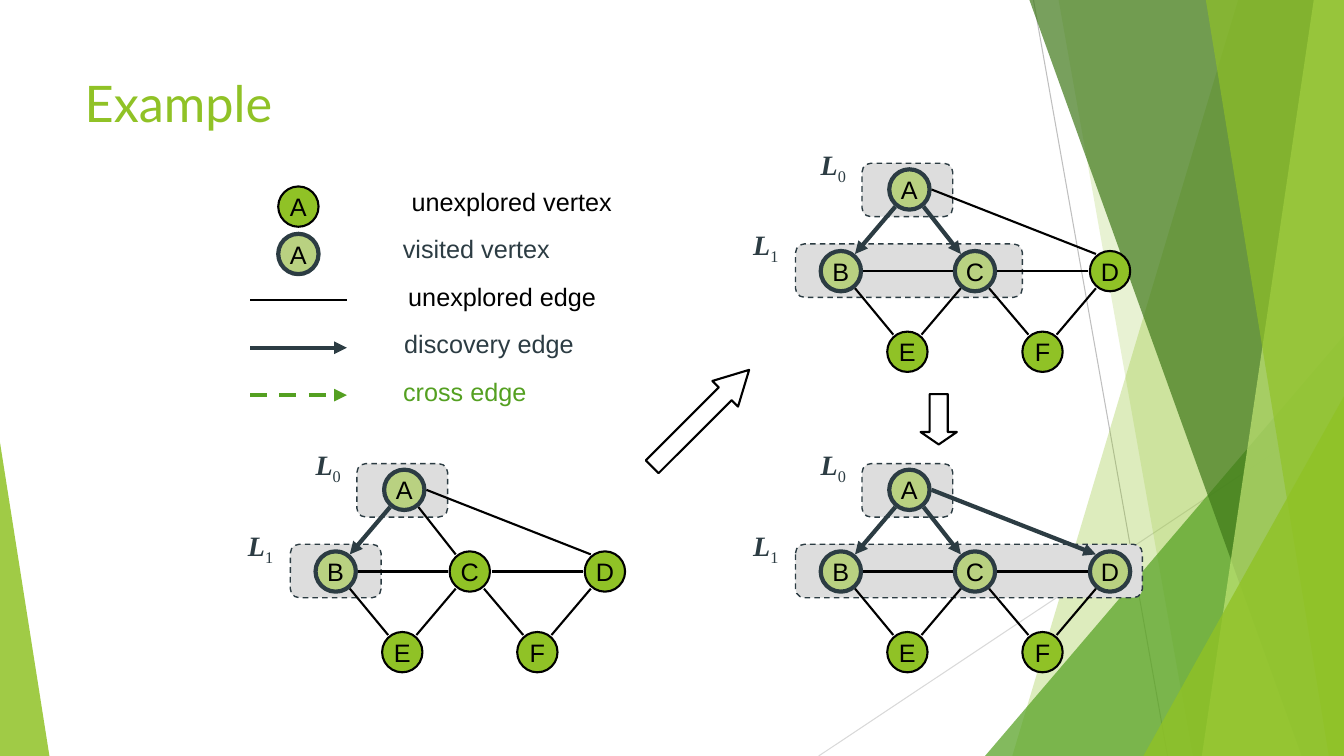
import dataclasses

import lxml.etree
import pptx
import pptx.dml.color
import pptx.enum.dml
import pptx.enum.shapes
import pptx.enum.text
import pptx.oxml.ns
import pptx.util

Inches = pptx.util.Inches
Shapes = pptx.enum.shapes.MSO_SHAPE
Align = pptx.enum.text.PP_ALIGN
Anchor = pptx.enum.text.MSO_ANCHOR
qn = pptx.oxml.ns.qn


@dataclasses.dataclass(frozen=True)
class Theme:
    green: str = "90C226"
    mid_green: str = "54A021"
    dark_green: str = "3F7819"
    light_green: str = "C0E474"
    visited: str = "B9D181"
    slate: str = "2C3C43"
    black: str = "000000"
    frame: str = "DDDDDD"
    ray: str = "BFBFBF"
    pale_ray: str = "D9D9D9"
    title_font: str = "Lato"
    body_font: str = "Arial"
    level_font: str = "Times New Roman"
    title_size: int = 36
    body_size: int = 18
    level_size: int = 20
    thin: float = 1.5
    thick: float = 3


def rgb(color):
    return pptx.dml.color.RGBColor.from_string(color)


def add_text(paragraph, text, font, size, color, bold=False, italic=False,
             baseline=0, align=None):
    if align is not None:
        paragraph.alignment = align
    run = paragraph.add_run()
    run.text = text
    run.font.name = font
    run.font.size = pptx.util.Pt(size)
    run.font.color.rgb = rgb(color)
    run.font.bold = bold
    run.font.italic = italic
    if baseline:
        run._r.get_or_add_rPr().set("baseline", str(baseline * 1000))


class SlideBuilder:
    VERTEX = 0.4
    # Vertex positions relative to vertex A
    VERTICES = {"A": (0, 0), "B": (-0.68, 0.81), "C": (0.65, 0.81),
                "D": (1.99, 0.81), "E": (-0.02, 1.61), "F": (1.32, 1.61)}
    EDGES = ("AB", "AC", "AD", "BC", "CD", "BE", "CE", "CF", "DF")

    def __init__(self, presentation, theme):
        self.theme = theme
        self.slide = presentation.slides.add_slide(presentation.slide_layouts[5])
        self.shapes = self.slide.shapes

    def title(self, text):
        title = self.shapes.title
        title.left, title.top = Inches(0.74), Inches(0.67)
        title.width, title.height = Inches(9.4), Inches(1.44)
        title.text_frame.vertical_anchor = Anchor.TOP
        add_text(title.text_frame.paragraphs[0], text, self.theme.title_font,
                 self.theme.title_size, self.theme.green, align=Align.LEFT)

    def style(self, shape, fill=None, line=None, width=1, dashed=False, alpha=None):
        shape.shadow.inherit = False
        if fill:
            shape.fill.solid()
            shape.fill.fore_color.rgb = rgb(fill)
        else:
            shape.fill.background()
        if alpha:
            color = shape._element.spPr.find(f"{qn('a:solidFill')}/{qn('a:srgbClr')}")
            lxml.etree.SubElement(color, qn("a:alpha")).set("val", str(alpha * 1000))
        if line:
            self.stroke(shape.line, line, width, dashed)
        else:
            shape.line.fill.background()

    def stroke(self, line, color, width, dashed=False):
        line.color.rgb = rgb(color)
        line.width = pptx.util.Pt(width)
        if dashed:
            line.dash_style = pptx.enum.dml.MSO_LINE.DASH

    def shape(self, kind, box, adjustments=(), rotation=0, **style):
        shape = self.shapes.add_shape(kind, *map(Inches, box))
        for index, value in enumerate(adjustments):
            shape.adjustments[index] = value
        shape.rotation = rotation
        self.style(shape, **style)
        return shape

    def facet(self, top_left, bottom_left, color, alpha):
        """Translucent panel from a slanted left edge to the slide's right edge."""
        corners = [(Inches(x), Inches(y)) for x, y in
                   ((top_left, 0), (13.33, 0), (13.33, 7.5), (bottom_left, 7.5))]
        builder = self.shapes.build_freeform(*corners[0], scale=1.0)
        builder.add_line_segments(corners[1:], close=True)
        self.style(builder.convert_to_shape(), fill=color, alpha=alpha)

    def line(self, start, end, color, width, dashed=False, arrow=False):
        connector = self.shapes.add_connector(
            pptx.enum.shapes.MSO_CONNECTOR.STRAIGHT, *map(Inches, (*start, *end)))
        self.stroke(connector.line, color, width, dashed)
        if arrow:
            outline = connector.line._get_or_add_ln()
            lxml.etree.SubElement(outline, qn("a:tailEnd")).set("type", "triangle")
        lxml.etree.SubElement(connector._element.spPr, qn("a:effectLst"))

    def label(self, box, text, color):
        frame = self.shapes.add_textbox(*map(Inches, box)).text_frame
        frame.word_wrap = False
        add_text(frame.paragraphs[0], text, self.theme.body_font,
                 self.theme.body_size, color, align=Align.CENTER)

    def level_label(self, left, top, number):
        frame = self.shapes.add_textbox(*map(Inches, (left, top, 0.51, 0.43))).text_frame
        frame.word_wrap = True
        font = (self.theme.level_font, self.theme.level_size, self.theme.slate)
        add_text(frame.paragraphs[0], "L", *font, bold=True, italic=True,
                 align=Align.CENTER)
        add_text(frame.paragraphs[0], str(number), *font, baseline=-25)

    def vertex(self, left, top, name, visited):
        theme = self.theme
        style = (dict(fill=theme.visited, line=theme.slate, width=theme.thick) if visited
                 else dict(fill=theme.green, line=theme.black, width=theme.thin))
        frame = self.shape(Shapes.OVAL, (left, top, self.VERTEX, self.VERTEX),
                           **style).text_frame
        frame.word_wrap = False
        frame.vertical_anchor = Anchor.MIDDLE
        add_text(frame.paragraphs[0], name, theme.body_font, theme.body_size,
                 theme.black, align=Align.CENTER)

    def edge(self, left, top, ends, discovered):
        (x1, y1), (x2, y2) = (
            (left + self.VERTICES[name][0] + self.VERTEX / 2,
             top + self.VERTICES[name][1] + self.VERTEX / 2) for name in ends)
        side = 1 if x2 > x1 else -1
        level = y1 == y2
        shallow = level or abs(x2 - x1) > 1.5
        leave = (0.22, 0) if shallow else (0.14, 0.17)
        arrive = (0.22, 0) if level else (0.14, 0.17)
        self.line((x1 + side * leave[0], y1 + leave[1]),
                  (x2 - side * arrive[0], y2 - arrive[1]),
                  self.theme.slate if discovered else self.theme.black,
                  self.theme.thick if discovered else self.theme.thin,
                  arrow=discovered)

    def graph(self, left, top, visited, discovered, level_width):
        """Draw one search stage with vertex A placed at left, top."""
        for x, y, width in ((-0.27, -0.06, 0.9), (-0.93, 0.74, level_width)):
            self.shape(Shapes.ROUNDED_RECTANGLE, (left + x, top + y, width, 0.53),
                       (0.167,), fill=self.theme.frame, line=self.theme.slate,
                       dashed=True)
        for name, (x, y) in self.VERTICES.items():
            self.vertex(left + x, top + y, name, name in visited)
        for ends in self.EDGES:
            self.edge(left, top, ends, ends in discovered)
        for number in range(2):
            self.level_label(left - 0.81 - 0.67 * number, top - 0.27 + 0.8 * number,
                             number)


def draw_background(builder):
    theme = builder.theme
    builder.line((10.25, 0), (11.58, 7.5), theme.ray, 0.75)
    builder.line((13.33, 4.03), (8.12, 7.5), theme.pale_ray, 0.75)

    def triangle(box, apex, color, alpha):
        builder.shape(Shapes.ISOSCELES_TRIANGLE, box, (apex,), fill=color, alpha=alpha)

    builder.facet(12.28, 10.04, theme.green, 30)
    builder.facet(10.5, 11.83, theme.green, 20)
    triangle((9.77, 3.33, 3.56, 4.17), 1, theme.mid_green, 72)
    builder.facet(10.21, 12.91, theme.dark_green, 70)
    builder.facet(13.03, 11.92, theme.light_green, 70)
    builder.facet(11.96, 13.18, theme.green, 65)
    triangle((11.34, 3.93, 1.99, 3.57), 1, theme.green, 80)
    triangle((0, 4.39, 0.49, 3.11), 0, theme.green, 85)


def draw_legend(builder):
    theme = builder.theme
    rows = (("unexplored vertex", 3.97, 2.21, theme.black),
            ("visited vertex", 3.89, 1.67, theme.slate),
            ("unexplored edge", 3.94, 2.08, theme.black),
            ("discovery edge", 3.9, 1.9, theme.slate),
            ("cross edge", 3.89, 1.44, theme.mid_green))
    for index, (text, left, width, color) in enumerate(rows):
        top = 1.8 + 0.47 * index
        builder.label((left, top, width, 0.4), text, color)
        if index < 2:
            builder.vertex(2.76, top + 0.05, "A", visited=index == 1)
        else:
            builder.line((2.48, top + 0.24), (3.44, top + 0.24), color,
                         theme.thin if index == 2 else theme.thick,
                         dashed=index == 4, arrow=index > 2)


def main():
    presentation = pptx.Presentation()
    presentation.slide_width, presentation.slide_height = Inches(13.33), Inches(7.5)
    theme = Theme()
    builder = SlideBuilder(presentation, theme)
    draw_background(builder)
    builder.title("Example")
    draw_legend(builder)
    builder.graph(3.81, 4.66, "AB", ("AB",), 0.9)
    builder.graph(8.82, 1.68, "ABC", ("AB", "AC"), 2.25)
    builder.graph(8.82, 4.66, "ABCD", ("AB", "AC", "AD"), 3.44)
    for box, head, rotation in (((9.06, 3.98, 0.5, 0.36), 0.343, 90),
                                ((6.27, 3.97, 1.36, 0.36), 0.932, -45)):
        builder.shape(Shapes.RIGHT_ARROW, box, (0.5, head), rotation,
                      line=theme.black, width=theme.thin)
    presentation.save("out.pptx")


if __name__ == "__main__":
    main()
